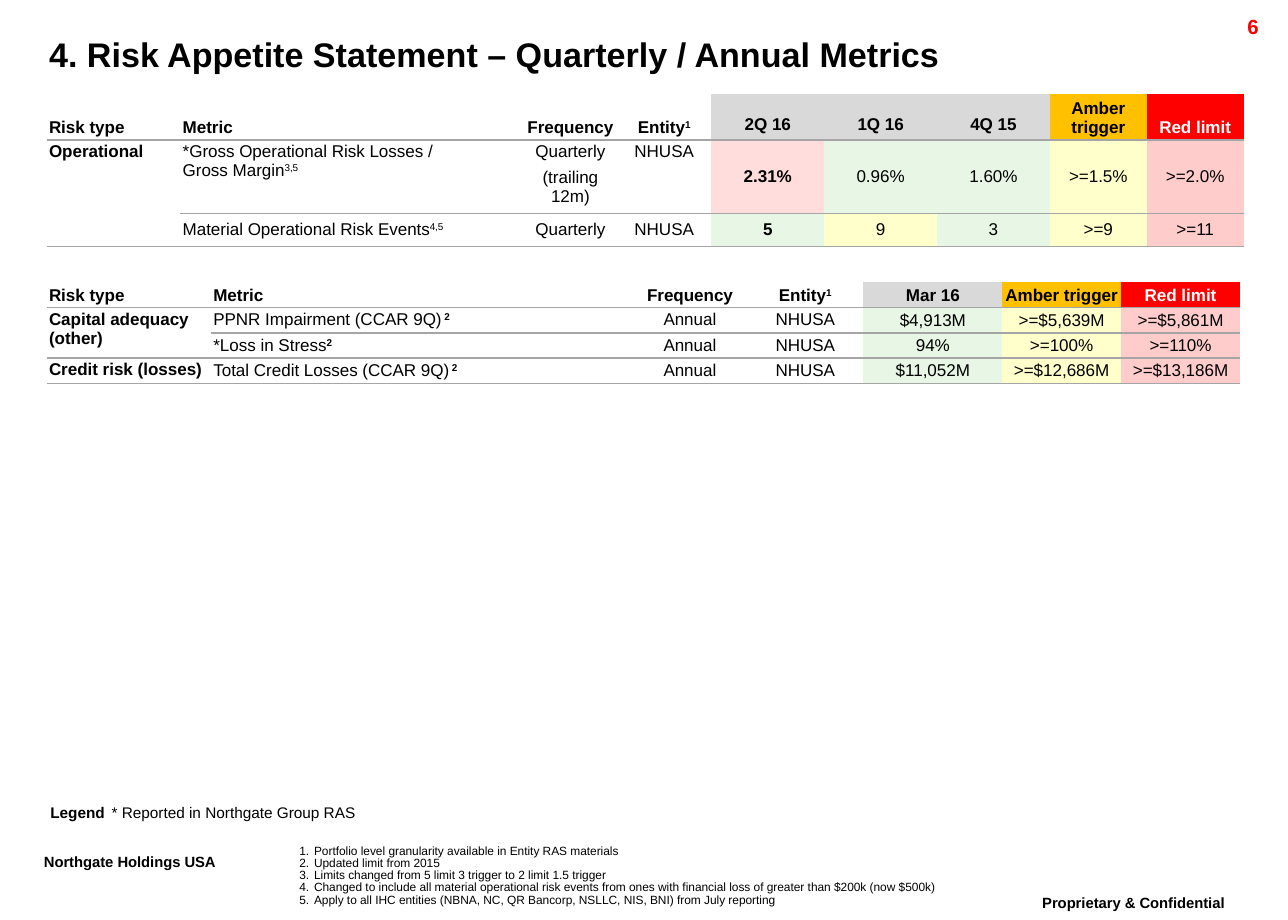
from pptx import Presentation
from pptx.dml.color import RGBColor as RGB
from pptx.enum.text import MSO_ANCHOR as Anchor, MSO_AUTO_SIZE as Auto, PP_ALIGN as Align
from pptx.oxml import parse_xml
from pptx.oxml.ns import nsdecls
from pptx.util import Inches, Pt

BLACK = RGB(0, 0, 0)
WHITE = RGB(255, 255, 255)
RED = RGB(255, 0, 0)
AMBER = RGB(0xFF, 0xC0, 0)
GREY = RGB(0xD9, 0xD9, 0xD9)
LINE = RGB(0xA5, 0xA5, 0xA5)
TINT = {
    "G": RGB(0xE8, 0xF6, 0xE6),
    "Y": RGB(0xFF, 0xFF, 0xCC),
    "R": RGB(0xFF, 0xCC, 0xCC),
    "P": RGB(0xFF, 0xDD, 0xDD),
}
PLAIN = "{2D5ABB26-0587-4C30-8999-92F81FD0307C}"
COLS, ROWS = 105, 75  # slide grid
TIGHT = 0.86
LEAD = 4  # descriptive columns before the coloured ones


class Deck:
    """Holds the style, the grid and the current slide."""

    def __init__(self, font):
        """Open a slide with a title and a body placeholder."""
        self.font = font
        self.prs = Presentation()
        self.prs.slide_width, self.prs.slide_height = Inches(10.5), Inches(7.5)
        self.slide = self.prs.slides.add_slide(self.prs.slide_layouts[1])

    def grid(self, *box):
        """Turn left, top, width, height in grid cells into lengths."""
        wide, high = self.prs.slide_width / COLS, self.prs.slide_height / ROWS
        return [round(n * unit) for n, unit in zip(box, (wide, high, wide, high))]

    def run(self, para, text, size, bold=False, color=BLACK, lift=False):
        """Add one styled run, raised when lift is set."""
        run = para.add_run()
        run.text = text
        font = run.font
        font.name, font.size, font.bold = self.font, Pt(size), bold
        font.color.rgb = color
        if lift:
            run._r.get_or_add_rPr().set("baseline", "30000")

    def place(self, shape, box, inset, anchor):
        """Move a shape and set up its text frame."""
        shape.left, shape.top, shape.width, shape.height = self.grid(*box)
        frame = shape.text_frame
        frame.word_wrap, frame.auto_size = True, Auto.NONE
        frame.vertical_anchor = anchor
        frame.margin_left = frame.margin_right = Inches(inset)
        frame.margin_top = frame.margin_bottom = Inches(inset / 2)
        return frame

    def title(self, text, box):
        """Fill the title placeholder."""
        para = self.place(self.slide.shapes.title, box, 0.1, Anchor.MIDDLE).paragraphs[0]
        para.alignment, para.line_spacing = Align.LEFT, TIGHT
        self.run(para, text, 20, True)

    def notes(self, items, box):
        """Fill the body placeholder with a numbered list."""
        frame = self.place(self.slide.placeholders[1], box, 0, Anchor.TOP)
        for i, item in enumerate(items):
            para = frame.add_paragraph() if i else frame.paragraphs[0]
            para.line_spacing, para.space_before = TIGHT, Pt(0)
            props = para._p.get_or_add_pPr()
            props.set("marL", str(Inches(0.12)))
            props.set("indent", str(-Inches(0.12)))
            props.append(parse_xml(f'<a:buFont {nsdecls("a")} typeface="{self.font}"/>'))
            props.append(parse_xml(f'<a:buAutoNum {nsdecls("a")} type="arabicPeriod"/>'))
            self.run(para, item, 7)

    def text(self, text, box, size, align=Align.LEFT, inset=0, anchor=Anchor.TOP, **look):
        """Add a one-line text box."""
        shape = self.slide.shapes.add_textbox(*self.grid(*box))
        para = self.place(shape, box, inset, anchor).paragraphs[0]
        para.alignment, para.line_spacing = align, TIGHT
        self.run(para, text, size, **look)

    def label(self, cell, text, align, bold, color, note):
        """Fill a cell: newline parts paragraphs, tab parts lines, ^ opens a raised note."""
        frame = cell.text_frame
        for i, part in enumerate(text.split("\n")):
            para = frame.add_paragraph() if i else frame.paragraphs[0]
            para.alignment = align
            para.space_before = para.space_after = Pt(2)
            main, _, mark = part.partition("^")
            for j, line in enumerate(main.split("\t")):
                if j:
                    para.add_line_break()
                self.run(para, line, 10, bold, color)
            if mark:
                self.run(para, mark, 10, bold or note, color, True)

    def rule(self, cell):
        """Draw the line under a cell."""
        cell._tc.get_or_add_tcPr().insert(0, parse_xml(
            f'<a:lnB {nsdecls("a")} w="{Pt(1)}"><a:solidFill>'
            f'<a:srgbClr val="{LINE}"/></a:solidFill></a:lnB>'))

    def table(self, spot, wide, high, rows, tints, bold=(0,), note=False, raised=()):
        """Add a metrics table; tints has one letter per coloured body cell."""
        box = self.grid(*spot, sum(wide), sum(high))
        table = self.slide.shapes.add_table(len(rows), len(wide), *box).table
        table._tbl.tblPr.find("{*}tableStyleId").text = PLAIN
        table.horz_banding = False
        for col, w in zip(table.columns, wide):
            col.width = self.grid(w)[0]
        for row, h in zip(table.rows, high):
            row.height = self.grid(0, h)[1]
        table.cell(1, 0).merge(table.cell(2, 0))
        heads = [GREY] * (len(wide) - LEAD - 2) + [AMBER, RED]
        for r, row in enumerate(rows):
            fills = [TINT[t] for t in tints[r - 1]] if r else heads
            for c, text in enumerate(row):
                cell = table.cell(r, c)
                cell.margin_left = cell.margin_right = Inches(0.02)
                cell.margin_top = cell.margin_bottom = Inches(0.02)
                top = c == 0 or (r == 1 and c < LEAD)
                cell.vertical_anchor = Anchor.TOP if top else Anchor.MIDDLE
                if r == 0:
                    cell.vertical_anchor = Anchor.BOTTOM
                    if c in raised:
                        cell.margin_bottom = Inches(0.05)
                if c < LEAD:
                    cell.fill.background()
                else:
                    cell.fill.solid()
                    cell.fill.fore_color.rgb = fills[c - LEAD]
                self.rule(cell)
                if text:
                    color = WHITE if text == "Red limit" else BLACK
                    align = Align.LEFT if c < 2 else Align.CENTER
                    self.label(cell, text, align, r == 0 or c in bold, color, note)


def main():
    """Build the slide and save it."""
    deck = Deck("Arial")
    deck.title("4. Risk Appetite Statement – Quarterly / Annual Metrics", (3, 2.7, 98.2, 3.9))
    deck.text("6", (93.6, 1.1, 10, 2.4), 12, Align.RIGHT, 0.1, Anchor.MIDDLE,
              bold=True, color=RED)

    lead = ["Risk type", "Metric", "Frequency", "Entity^1"]
    ends = ["Amber trigger", "Red limit"]
    unit = "NHUSA"
    deck.table(
        (3.8, 7.7), [10.9, 28, 7.6, 7.7, 9.2, 9.2, 9.2, 7.9, 7.9], [3.7, 6, 2.7],
        [lead + ["2Q 16", "1Q 16", "4Q 15"] + ends,
         ["Operational", "*Gross Operational Risk Losses /\tGross Margin^3,5",
          "Quarterly\n(trailing 12m)", unit, "2.31%", "0.96%", "1.60%", ">=1.5%", ">=2.0%"],
         ["", "Material Operational Risk Events^4,5", "Quarterly", unit,
          "5", "9", "3", ">=9", ">=11"]],
        ["PGGYR", "GYGYR"], bold=(0, 4), raised=(4, 5, 6))
    deck.table(
        (3.8, 23), [13.4, 34.4, 9.3, 9.5, 11.3, 9.7, 9.7], [2.07] * 4,
        [lead + ["Mar 16"] + ends,
         ["Capital adequacy (other)", "PPNR Impairment (CCAR 9Q)^ 2", "Annual", unit,
          "$4,913M", ">=$5,639M", ">=$5,861M"],
         ["", "*Loss in Stress^2", "Annual", unit, "94%", ">=100%", ">=110%"],
         ["Credit risk (losses)", "Total Credit Losses (CCAR 9Q)^ 2", "Annual", unit,
          "$11,052M", ">=$12,686M", ">=$13,186M"]],
        ["GYR"] * 3, note=True)

    deck.text("Legend", (4.1, 65.7, 6.5, 1.3), 9, bold=True)
    deck.text("* Reported in Northgate Group RAS", (9.1, 65.7, 22, 1.3), 9)
    deck.notes([
        "Portfolio level granularity available in Entity RAS materials",
        "Updated limit from 2015",
        "Limits changed from 5 limit 3 trigger to 2 limit 1.5 trigger",
        "Changed to include all material operational risk events from ones with "
        "financial loss of greater than $200k (now $500k)",
        "Apply to all IHC entities (NBNA, NC, QR Bancorp, NSLLC, NIS, BNI) from July reporting",
    ], (24.4, 68.9, 58, 5.4))
    foot = dict(size=15, inset=0.1, bold=True, lift=True)
    deck.text("Northgate Holdings USA", (2.6, 69.1, 21, 3.5), **foot)
    deck.text("Proprietary & Confidential", (81.5, 72.5, 21.8, 2.5), align=Align.CENTER, **foot)
    deck.prs.save("out.pptx")


main()
